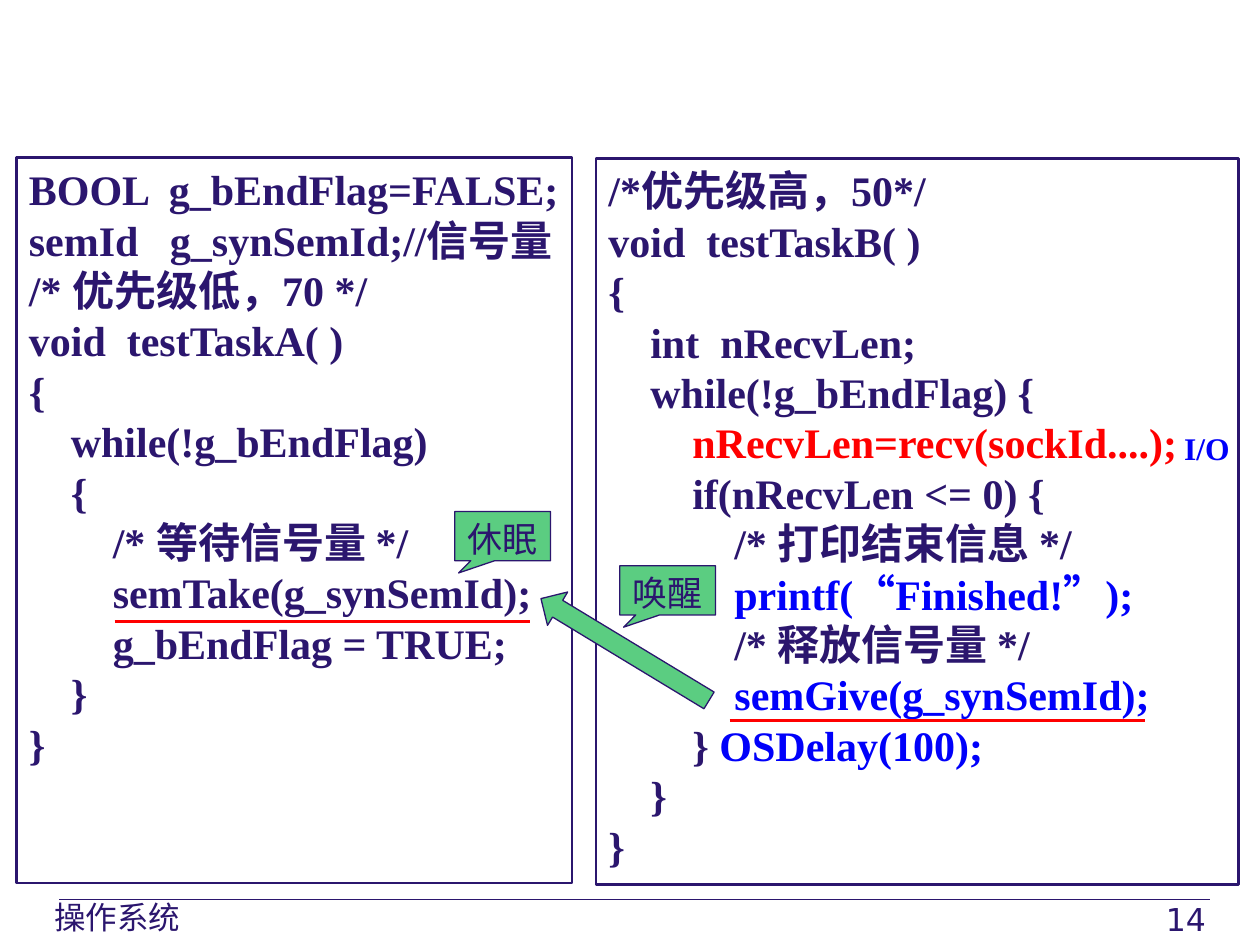
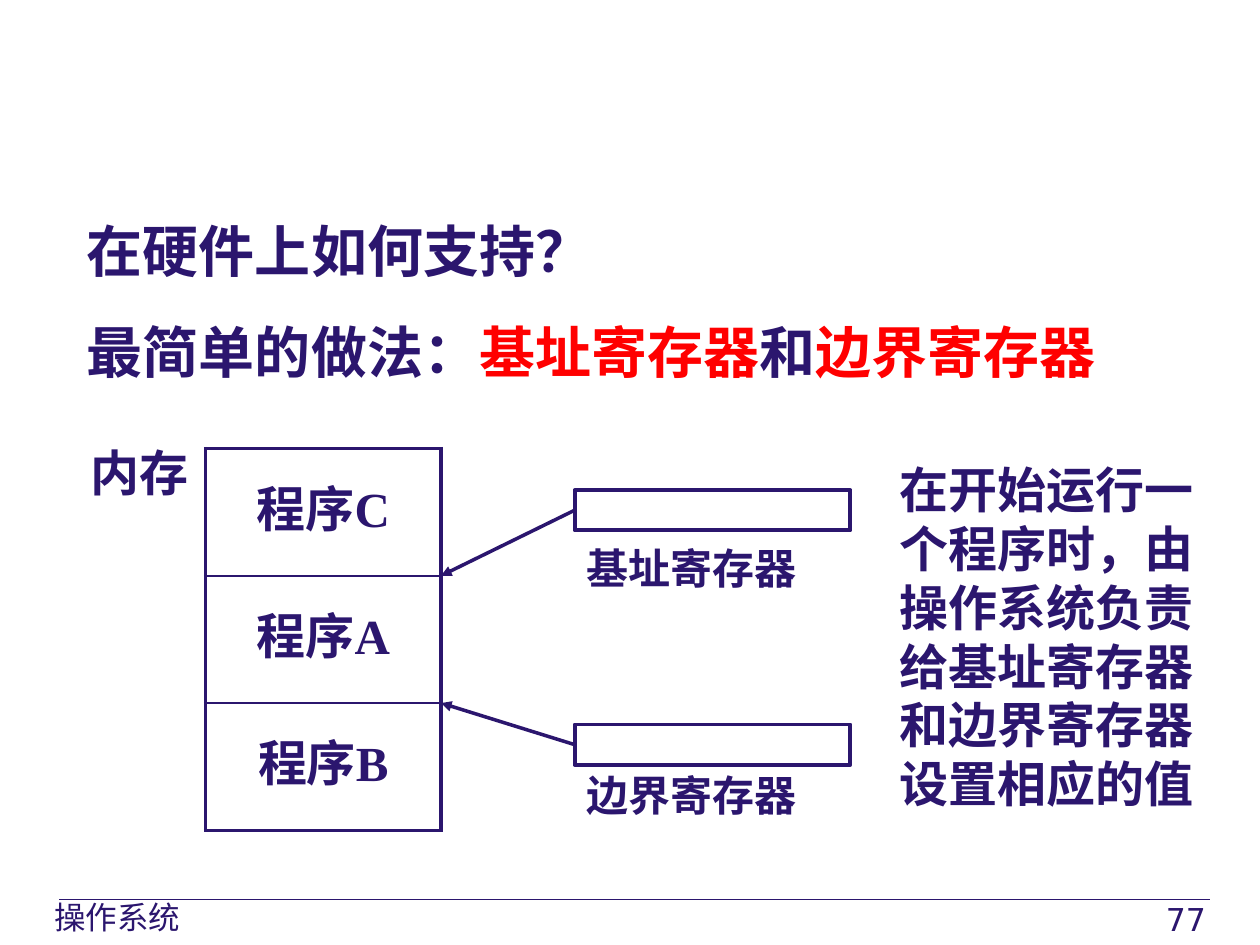
from lxml import etree
from pptx import Presentation
from pptx.dml.color import RGBColor
from pptx.enum.shapes import MSO_CONNECTOR, MSO_SHAPE
from pptx.enum.text import MSO_ANCHOR, MSO_AUTO_SIZE, PP_ALIGN
from pptx.oxml.ns import qn
from pptx.util import Pt

STRAIGHT = MSO_CONNECTOR.STRAIGHT
RECT = MSO_SHAPE.RECTANGLE
CALLOUT = MSO_SHAPE.RECTANGULAR_CALLOUT
LEFT_ARROW = MSO_SHAPE.LEFT_ARROW
LEFT, CENTER, RIGHT = PP_ALIGN.LEFT, PP_ALIGN.CENTER, PP_ALIGN.RIGHT
TOP, MIDDLE = MSO_ANCHOR.TOP, MSO_ANCHOR.MIDDLE

COLORS = {"ink": "2B166E", "red": "FF0000", "blue": "0000FA", "green": "5BCD81"}
SERIF, SANS = "Times New Roman", "DejaVu Sans"
LINE_RATIO = 1.2
TITLE_AND_CONTENT, BLANK = 1, 6

TASK_A = [
    "BOOL  g_bEndFlag=FALSE;",
    "semId   g_synSemId;//信号量",
    "/* 优先级低，70 */",
    "void  testTaskA( )",
    "{",
    "    while(!g_bEndFlag)",
    "    {\n        /* 等待信号量 */",
    "        semTake(g_synSemId);",
    "        g_bEndFlag = TRUE;",
    "    }",
    "}",
]
TASK_B = [
    "/*优先级高，50*/",
    "void  testTaskB( )",
    "{",
    "    int  nRecvLen;",
    "    while(!g_bEndFlag) {",
    [("        nRecvLen=recv(sockId....);", "red")],
    "        if(nRecvLen <= 0) {",
    [("            /* 打印结束信息 */\n            ", "ink"),
     ("printf(“Finished!”);\n", "blue"),
     ("            /* 释放信号量 */\n            ", "ink"),
     ("semGive(g_synSemId);", "blue")],
    [("        } ", "ink"), ("OSDelay(100);", "blue")],
    "    }",
    "}",
]
QUESTION = [
    "在硬件上如何支持？",
    [("最简单的做法：", "ink"), ("基址寄存器", "red"),
     ("和", "ink"), ("边界寄存器", "red")],
]
SETUP_NOTE = "在开始运行一\n个程序时，由\n操作系统负责\n给基址寄存器\n和边界寄存器\n设置相应的值"


def rgb(name):
    return RGBColor.from_string(COLORS[name])


def points(*values):
    return [Pt(value) for value in values]


def write(frame, paragraphs, size=24, font=SERIF, bold=True, color="ink",
          align=LEFT, spacing=1, wrap=True, anchor=TOP):
    """Fill a frame; a paragraph is a string or a list of (text, colour)."""
    frame.word_wrap = wrap
    frame.vertical_anchor = anchor
    for index, content in enumerate(paragraphs):
        paragraph = frame.add_paragraph() if index else frame.paragraphs[0]
        paragraph.alignment = align
        paragraph.space_before = Pt(0)
        paragraph.line_spacing = Pt(round(size * LINE_RATIO * spacing, 2))
        pieces = [(content, color)] if isinstance(content, str) else content
        for text, run_color in pieces:
            for number, line in enumerate(text.split("\n")):
                if number:
                    paragraph.add_line_break()
                if line:
                    run = paragraph.add_run()
                    run.text = line
                    run.font.size = Pt(size)
                    run.font.name = font
                    run.font.bold = bold
                    run.font.color.rgb = rgb(run_color)


def label(slide, box, text, **style):
    textbox = slide.shapes.add_textbox(*points(*box))
    write(textbox.text_frame, [text], **{"wrap": False, **style})


def outlined(slide, kind, box, width, fill=None):
    shape = slide.shapes.add_shape(kind, *points(*box))
    shape.shadow.inherit = False
    shape.line.color.rgb = rgb("ink")
    shape.line.width = Pt(width)
    if fill:
        shape.fill.solid()
        shape.fill.fore_color.rgb = rgb(fill)
    else:
        shape.fill.background()
    return shape


def rule(slide, start, end, width, color="ink", arrow=False):
    connector = slide.shapes.add_connector(STRAIGHT, *points(*start, *end))
    connector.line.color.rgb = rgb(color)
    connector.line.width = Pt(width)
    properties = connector._element.spPr
    if arrow:
        etree.SubElement(properties.find(qn("a:ln")), qn("a:tailEnd"), type="triangle")
    etree.SubElement(properties, qn("a:effectLst"))
    return connector


def footer(slide, number):
    rule(slide, (33.8, 514), (691.2, 514), 0.75)
    style = {"size": 18, "font": SANS, "bold": False}
    label(slide, (23.8, 509.8, 168, 25.2), "操作系统", **style)
    label(slide, (468, 510.5, 228.2, 25.2), str(number), align=RIGHT, wrap=True, **style)


def code_panel(slide, box, code):
    write(outlined(slide, RECT, box, 1.5).text_frame, code)


def underline(slide, panel, dx, dy, length=237.6):
    x, y = panel[0] + dx, panel[1] + dy
    rule(slide, (x, y), (x + length, y), 1.5, "red")


def callout(slide, panel, dx, dy, text):
    box = (panel[0] + dx, panel[1] + dy, 54.7, 28.1)
    bubble = outlined(slide, CALLOUT, box, 0.75, "green")
    bubble.adjustments[0], bubble.adjustments[1] = -0.46, 0.75
    write(bubble.text_frame, [text], size=20, font=SANS, bold=False,
          align=CENTER, wrap=False)


def question(slide, box):
    """Place the question and its answer in the body placeholder."""
    slide.shapes.title._element.getparent().remove(slide.shapes.title._element)
    body = slide.placeholders[1]
    body.left, body.top, body.width, body.height = points(*box)
    write(body.text_frame, QUESTION, size=32, spacing=1.5, wrap=False)
    body.text_frame.auto_size = MSO_AUTO_SIZE.NONE
    for paragraph in body.text_frame.paragraphs:
        properties = paragraph._p.get_or_add_pPr()
        properties.set("marL", "0")
        properties.set("indent", "0")
        etree.SubElement(properties, qn("a:buNone"))


def cell_border(cell, side, width):
    line = etree.SubElement(cell._tc.get_or_add_tcPr(), qn(f"a:ln{side}"),
                            w=str(Pt(width)))
    fill = etree.SubElement(line, qn("a:solidFill"))
    etree.SubElement(fill, qn("a:srgbClr"), val=COLORS["ink"])


def memory_table(slide, box, programs):
    table = slide.shapes.add_table(len(programs), 1, *points(*box)).table
    table.first_row = table.horz_banding = False
    last = len(programs) - 1
    for index, program in enumerate(programs):
        cell = table.cell(index, 0)
        write(cell.text_frame, [program], size=28, align=CENTER)
        cell.vertical_anchor = MIDDLE
        widths = {"L": 2.25, "R": 2.25, "T": 1 if index else 2.25,
                  "B": 2.25 if index == last else 1}
        for side, width in widths.items():
            cell_border(cell, side, width)
        cell.fill.background()


def register(slide, box, name, name_dy, target):
    """Draw a register with its name below and an arrow to a memory boundary."""
    x, y, _, height = box
    bar = outlined(slide, RECT, box, 2.25)
    label(slide, (x, y + name_dy, 135.4, 36), name)
    arrow = rule(slide, (x, y + height / 2), target, 2, arrow=True)
    arrow.begin_connect(bar, 1)


def semaphore_slide(deck):
    slide = deck.slides.add_slide(deck.slide_layouts[BLANK])
    footer(slide, 14)
    task_a = (9.4, 90, 317.5, 414.7)
    task_b = (340.6, 90.7, 367.2, 414.7)
    code_panel(slide, task_a, TASK_A)
    code_panel(slide, task_b, TASK_B)
    label(slide, (669.6, 241.9, 40.3, 28.8), "I/O", size=18, color="blue")
    underline(slide, task_a, 56.1, 265)
    callout(slide, task_a, 250.5, 202.3, "休眠")
    wake_arrow = outlined(slide, LEFT_ARROW, (301, 360, 112.3, 22.3), 0.75, "green")
    wake_arrow.rotation = 31.2
    callout(slide, task_b, 13.6, 232.6, "唤醒")
    underline(slide, task_b, 76.3, 321.1)


def register_slide(deck):
    slide = deck.slides.add_slide(deck.slide_layouts[TITLE_AND_CONTENT])
    footer(slide, 77)
    question(slide, (42.5, 100.8, 598.3, 123.8))
    memory = (117.4, 256.3, 134.6, 218.2)
    programs = ["程序C", "程序A", "程序B"]
    memory_table(slide, memory, programs)
    label(slide, (44.6, 249.1, 70.6, 41), "内存", size=28)
    registers = [("基址寄存器", 280.1, 26.6), ("边界寄存器", 414, 22.3)]
    for boundary, (name, top, name_dy) in enumerate(registers, start=1):
        target = (memory[0] + memory[2],
                  memory[1] + memory[3] * boundary / len(programs))
        register(slide, (328.3, top, 157.7, 23), name, name_dy, target)
    label(slide, (506.9, 259.2, 183.6, 208.8), SETUP_NOTE, size=28)


def main():
    deck = Presentation()
    deck.slide_width, deck.slide_height = points(720, 540)
    semaphore_slide(deck)
    register_slide(deck)
    deck.save("out.pptx")


if __name__ == "__main__":
    main()
